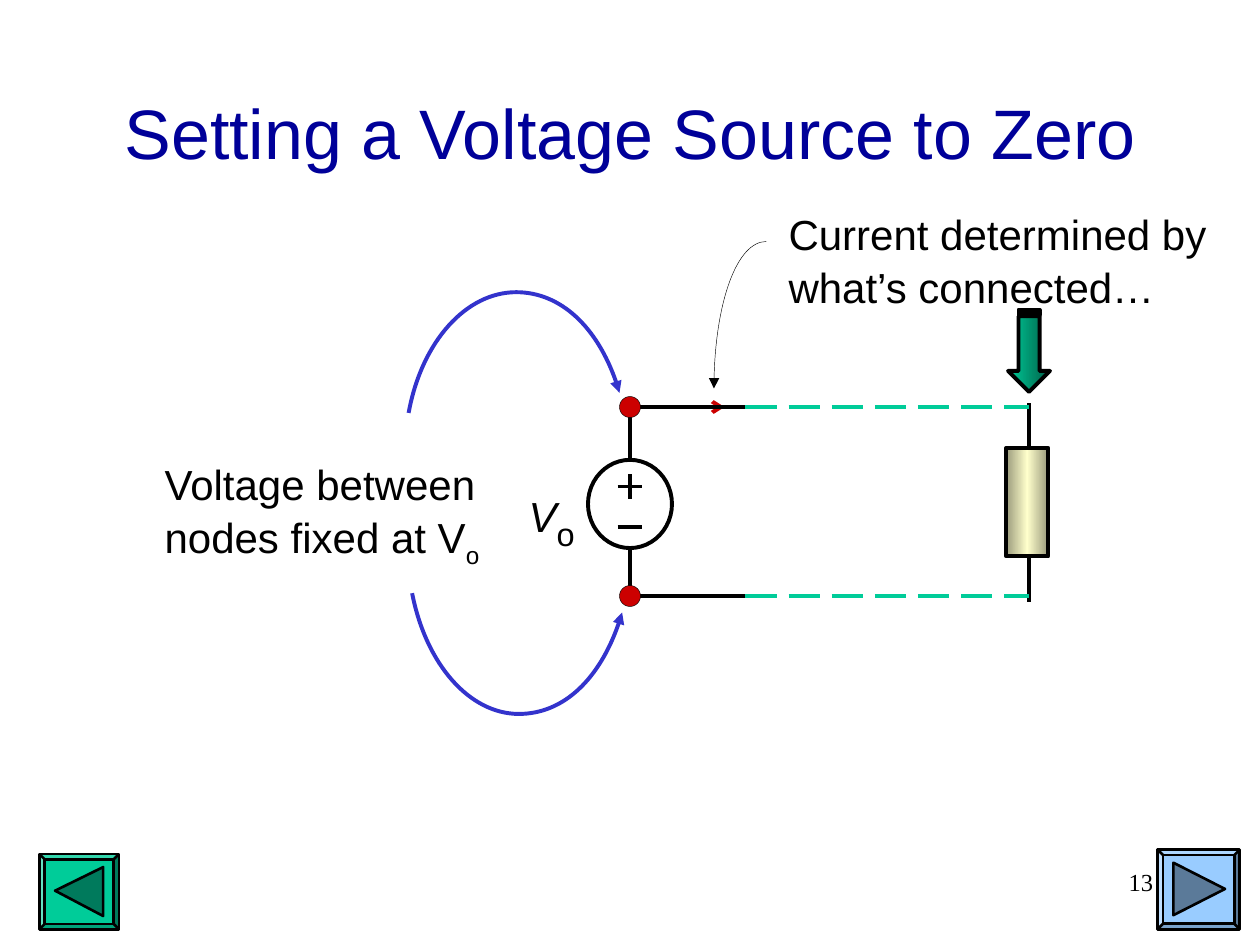
from lxml.etree import SubElement
from pptx import Presentation
from pptx.dml.color import RGBColor
from pptx.enum.dml import MSO_LINE_DASH_STYLE as Dash
from pptx.enum.shapes import MSO_CONNECTOR as Connector, MSO_SHAPE as Preset
from pptx.enum.text import MSO_ANCHOR as Anchor, PP_ALIGN as Align
from pptx.oxml.ns import qn
from pptx.util import Pt

COLORS = {
    "black": "000000", "title": "000099", "node": "CC0000", "curve": "3333CC",
    "green": "00CC99", "green_dark": "005E47", "green_icon": "007A5C",
    "blue": "99CCFF", "blue_icon": "5B7A99",
    "resistor": "FFFFCC", "resistor_edge": "9B9B7C",
}


class SlideBuilder:
    font = {"name": "Arial", "size": Pt(24), "italic": False}
    line_width = 2.25

    def __init__(self, slide):
        self.slide = slide

    def color(self, name):
        return RGBColor.from_string(COLORS[name])

    def stroke(self, line, color="black", width=None, dash=None, head=None):
        line.color.rgb = self.color(color)
        line.width = Pt(width or self.line_width)
        if dash:
            line.dash_style = dash
        if head:
            SubElement(line._get_or_add_ln(), qn("a:tailEnd"), type=head)

    def paint(self, shape, fill, angle=0):
        shape.shadow.inherit = False
        if fill is None:
            shape.fill.background()
        elif isinstance(fill, str):
            shape.fill.solid()
            shape.fill.fore_color.rgb = self.color(fill)
        else:
            shape.fill.gradient()
            shape.fill.gradient_angle = angle
            stops = shape.element.find(".//" + qn("a:gsLst"))
            stops[:] = []
            for index, name in enumerate(fill):
                position = str(100000 * index // (len(fill) - 1))
                stop = SubElement(stops, qn("a:gs"), pos=position)
                SubElement(stop, qn("a:srgbClr"), val=COLORS[name])

    def text(self, box, paragraphs, color="black", layout=None, frame=None, **font):
        shape = self.slide.shapes.add_textbox(*map(Pt, box))
        text_frame = shape.text_frame
        for key, value in {"word_wrap": True, **(frame or {})}.items():
            setattr(text_frame, key, value)
        for index, runs in enumerate(paragraphs):
            paragraph = text_frame.add_paragraph() if index else text_frame.paragraphs[0]
            for key, value in (layout or {}).items():
                setattr(paragraph, key, value)
            for content, formats in runs:
                if content == "\n":
                    paragraph.add_line_break()
                    continue
                run = paragraph.add_run()
                run.text = content
                values = {**self.font, **font, **formats}
                baseline = values.pop("baseline", None)
                for key, value in values.items():
                    setattr(run.font, key, value)
                run.font.color.rgb = self.color(color)
                if baseline:
                    run._r.get_or_add_rPr().set("baseline", str(baseline))

    def shape(self, preset, box, fill=None, angle=0, adjustments=(), rotation=0, **line):
        shape = self.slide.shapes.add_shape(preset, *map(Pt, box))
        shape.rotation = rotation
        for index, value in enumerate(adjustments):
            shape.adjustments[index] = value
        self.paint(shape, fill, angle)
        self.stroke(shape.line, **line)

    def line(self, start, end, **line):
        connector = self.slide.shapes.add_connector(
            Connector.STRAIGHT, *map(Pt, start + end))
        SubElement(connector.element.spPr, qn("a:effectLst"))
        self.stroke(connector.line, **line)

    def outline(self, points, fill=None, close=True, **line):
        start, *others = [tuple(map(Pt, point)) for point in points]
        builder = self.slide.shapes.build_freeform(*start)
        builder.add_line_segments(others, close=close)
        shape = builder.convert_to_shape()
        self.paint(shape, fill)
        self.stroke(shape.line, **line)
        return shape

    def curve(self, points, **line):
        shape = self.outline(points, close=False, head="triangle", **line)
        path = shape.element.find(".//" + qn("a:path"))
        segments = path.findall(qn("a:lnTo"))
        for first in range(0, len(segments), 3):
            bezier = SubElement(path, qn("a:cubicBezTo"))
            for segment in segments[first:first + 3]:
                bezier.append(segment[0])
                path.remove(segment)

    def button(self, box, fill, icon, triangle):
        self.shape(Preset.BEVEL, box, fill, adjustments=[0.07], width=1.5)
        self.outline(triangle, icon, width=1.5)


def main():
    presentation = Presentation()
    presentation.slide_width, presentation.slide_height = Pt(720), Pt(540)
    slide = presentation.slides.add_slide(presentation.slide_layouts[6])
    builder = SlideBuilder(slide)
    source_x, joint_x, load_x = 360, 426, 588
    top, bottom = 232.6, 340.6
    subscript = {"baseline": -25000}
    note = {"layout": {"line_spacing": 1.05}, "frame": {"word_wrap": False}}

    builder.button((661.5, 485.5, 47, 45.5), "blue", "blue_icon",
                   [(670.5, 493), (700, 508), (670.5, 523)])
    builder.button((22.5, 488, 45.5, 43), "green", "green_icon",
                   [(31.5, 509), (59, 495.5), (59, 523.5)])
    builder.text((516.5, 492, 149.5, 36), [[("13", {})]],
                 layout={"alignment": Align.RIGHT}, name="Times New Roman", size=Pt(14))
    builder.text((54, 30, 612, 90), [[("Setting a Voltage Source to Zero", {})]],
                 color="title", layout={"alignment": Align.CENTER},
                 frame={"vertical_anchor": Anchor.MIDDLE}, size=Pt(40))
    builder.text((87, 257, 200, 69), [
        [("Voltage between", {})], [("nodes fixed at V", {}), ("o", subscript)]], **note)

    builder.curve([(233.5, 236), (241, 195), (266.5, 167), (295, 167),
                   (320.5, 167), (344, 189.5), (354, 224.5)], color="curve")
    builder.curve([(235.5, 339), (243.5, 380), (268.5, 408), (296.5, 408),
                   (322.5, 408), (345.5, 385), (355.5, 350)], color="curve")

    builder.line((load_x, 230.4), (load_x, 344))
    builder.shape(Preset.RECTANGLE, (load_x - 13, 256, 24, 62),
                  ["resistor_edge", "resistor", "resistor_edge"])
    for y in (bottom, top):
        builder.line((joint_x, y), (load_x, y), color="green", dash=Dash.LONG_DASH)

    builder.line((384, top), (414, top), color="node", head="arrow")
    builder.text((443.5, 114, 264, 65), [
        [("Current determined by", {}), ("\n", {}), ("what’s connected…", {})]], **note)
    builder.curve([(438, 138), (421, 138), (408, 175.5), (408, 222)], width=0.25)
    builder.shape(Preset.STRIPED_RIGHT_ARROW, (load_x - 23.5, 188.5, 47, 24),
                  ["green", "green_dark"], angle=90, rotation=90)

    for y in (top, bottom):
        builder.line((source_x, y), (joint_x, y))
    builder.shape(Preset.OVAL, (source_x - 24, 262.8, 48, 50.4))
    builder.line((source_x, 262.8), (source_x, 234))
    builder.line((source_x, 342), (source_x, 313.2))
    for y in (278, 301):
        builder.line((source_x - 7, y), (source_x + 7, y))
    builder.line((source_x, 285), (source_x, 271))
    builder.text((294, 268.5, 42.5, 51), [
        [("V", {"italic": True}), ("o", {"size": Pt(32), **subscript})]],
        layout={"alignment": Align.CENTER})
    for y in (bottom, top):
        builder.shape(Preset.OVAL, (source_x - 6, y - 6, 12, 12), "node", width=0.25)

    presentation.save("out.pptx")


if __name__ == "__main__":
    main()
